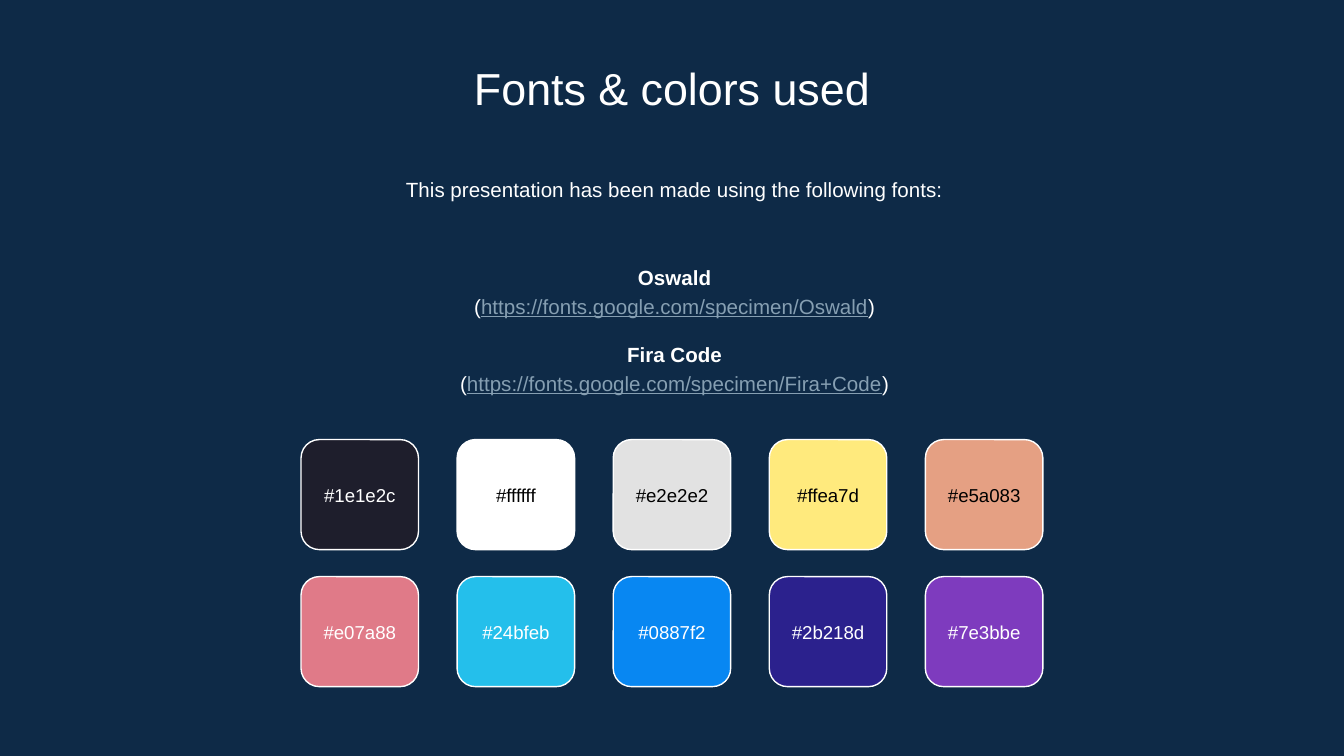
from dataclasses import dataclass

from pptx import Presentation
from pptx.dml.color import RGBColor
from pptx.enum.shapes import MSO_SHAPE
from pptx.enum.text import MSO_ANCHOR, PP_ALIGN
from pptx.slide import Slide
from pptx.text.text import TextFrame
from pptx.util import Cm, Pt

ROUNDED = MSO_SHAPE.ROUNDED_RECTANGLE
TOP, MIDDLE = MSO_ANCHOR.TOP, MSO_ANCHOR.MIDDLE
CENTER = PP_ALIGN.CENTER

FONT = "Arial"
COLORS = {
    "background": "0E2A47",
    "light": "FFFFFF",
    "dark": "000000",
    "link": "869FB2",
}

COLUMNS = 5
GRID_LEFT, GRID_TOP = 5.69, 8.31
COLUMN_PITCH, ROW_PITCH = 2.95, 2.59
SWATCH_W, SWATCH_H = 2.22, 2.08
LABEL_H = 1.22


@dataclass(frozen=True)
class Swatch:
    code: str
    label_color: str = "light"


@dataclass(frozen=True)
class FontSource:
    name: str
    url: str


SWATCHES = [
    Swatch("#1e1e2c"),
    Swatch("#ffffff", "dark"),
    Swatch("#e2e2e2", "dark"),
    Swatch("#ffea7d", "dark"),
    Swatch("#e5a083", "dark"),
    Swatch("#e07a88"),
    Swatch("#24bfeb"),
    Swatch("#0887f2"),
    Swatch("#2b218d"),
    Swatch("#7e3bbe"),
]

FONT_SOURCES = [
    FontSource("Oswald", "https://fonts.google.com/specimen/Oswald"),
    FontSource("Fira Code", "https://fonts.google.com/specimen/Fira+Code"),
]


def rgb(value: str) -> RGBColor:
    return RGBColor.from_string(value.lstrip("#").upper())


def add_box(slide: Slide, left: float, top: float, width: float, height: float,
            anchor: MSO_ANCHOR = TOP) -> TextFrame:
    sp = slide.shapes.add_textbox(Cm(left), Cm(top), Cm(width), Cm(height))
    tf = sp.text_frame
    tf.word_wrap = True
    tf.vertical_anchor = anchor
    tf.margin_left = tf.margin_right = tf.margin_top = tf.margin_bottom = Cm(0.25)
    return tf


def add_text(tf: TextFrame, text: str, *, size: float = 11, color: str = "light",
             bold: bool = False, underline: bool = False, spacing: float = 1.15,
             before: float = 0, same_line: bool = False) -> None:
    p = tf.paragraphs[-1]
    if not same_line:
        if p.runs:
            p = tf.add_paragraph()
        p.alignment = CENTER
        p.line_spacing = spacing
        if before:
            p.space_before = Pt(before)
    r = p.add_run()
    r.text = text
    r.font.name = FONT
    r.font.size = Pt(size)
    r.font.bold = bold
    r.font.underline = underline
    r.font.color.rgb = rgb(COLORS[color])


def add_font_source(tf: TextFrame, source: FontSource, before: float) -> None:
    add_text(tf, source.name, bold=True, before=before)
    add_text(tf, "(")
    add_text(tf, source.url, color="link", underline=True, same_line=True)
    add_text(tf, ")", same_line=True)


def add_swatch(slide: Slide, swatch: Swatch, left: float, top: float) -> None:
    sp = slide.shapes.add_shape(ROUNDED, Cm(left), Cm(top), Cm(SWATCH_W), Cm(SWATCH_H))
    sp.shadow.inherit = False
    sp.fill.solid()
    sp.fill.fore_color.rgb = rgb(swatch.code)
    sp.line.color.rgb = rgb(COLORS["light"])
    sp.line.width = Pt(0.75)
    label_top = top + (SWATCH_H - LABEL_H) / 2
    tf = add_box(slide, left, label_top, SWATCH_W, LABEL_H, MIDDLE)
    add_text(tf, swatch.code, size=10, color=swatch.label_color, spacing=1.0)


def main() -> None:
    prs = Presentation()
    prs.slide_width, prs.slide_height = Cm(25.4), Cm(14.29)
    slide = prs.slides.add_slide(prs.slide_layouts[6])
    slide.background.fill.solid()
    slide.background.fill.fore_color.rgb = rgb(COLORS["background"])

    title = add_box(slide, 2.91, 0.89, 19.58, 1.35)
    add_text(title, "Fonts & colors used", size=24, spacing=1.0)

    intro = add_box(slide, 2.96, 3.02, 19.58, 1.22)
    add_text(intro, "This presentation has been made using the following fonts:")

    sources = add_box(slide, 2.96, 4.47, 19.58, 3.48, MIDDLE)
    for i, source in enumerate(FONT_SOURCES):
        add_font_source(sources, source, before=11 if i else 0)

    for i, swatch in enumerate(SWATCHES):
        row, column = divmod(i, COLUMNS)
        add_swatch(slide, swatch, GRID_LEFT + column * COLUMN_PITCH,
                   GRID_TOP + row * ROW_PITCH)

    prs.save("out.pptx")


if __name__ == "__main__":
    main()
